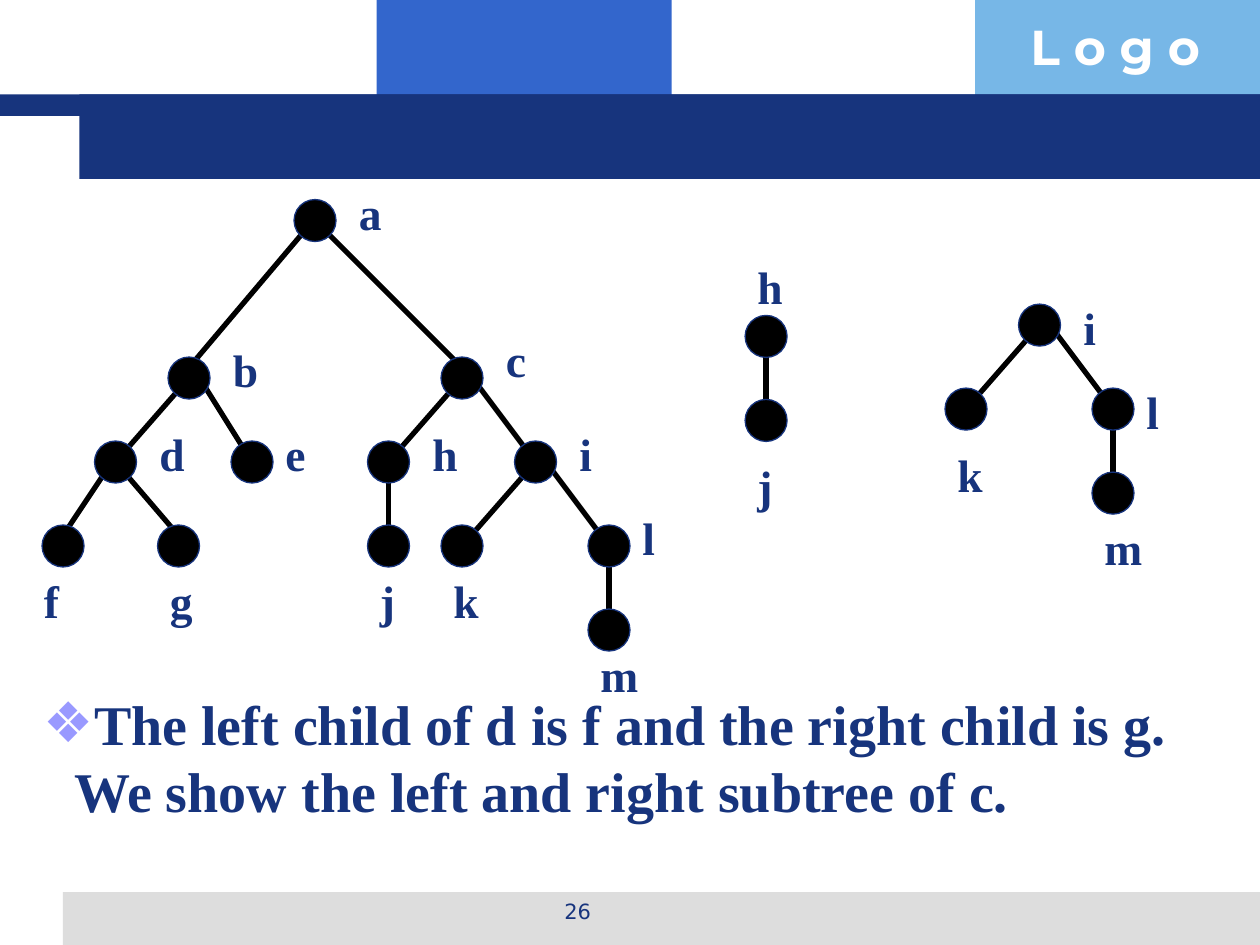
from lxml import etree
from pptx import Presentation
from pptx.dml.color import RGBColor
from pptx.enum import shapes, text
from pptx.oxml import ns
from pptx.util import Inches, Pt

NAVY = "17347D"
BLACK = "000000"
SERIF = "Times New Roman"
WIDTHS = dict(a=0.38, c=0.36, e=0.36, f=0.32, g=0.38, i=0.3, j=0.32, l=0.3, m=0.5)

# name, x, y, label x, label y, parent, start x, start y, end y
MAIN = [
    ("a", 0, 0, 3, -4, None, 0, 0, 0),
    ("b", -12, 15, 3, -4, "a", -1, 1, -1),
    ("c", 14, 15, 3, -5, "a", 1, 1, -1),
    ("d", -19, 23, 3, -4, "b", 0, 0, 0),
    ("e", -6, 23, 2, -4, "b", 1, 0, 0),
    ("h", 7, 23, 3, -4, "c", 0, 0, 0),
    ("i", 21, 23, 3, -4, "c", 1, 0, 0),
    ("f", -24, 31, -3, 2, "d", -1, 1, -1),
    ("g", -13, 31, -2, 2, "d", 0, 0, -1),
    ("j", 7, 31, -2, 2, "h", 0, 1, 0),
    ("k", 14, 31, -2, 2, "i", 0, 0, 0),
    ("l", 28, 31, 2, -4, "i", 1, 0, 0),
    ("m", 28, 39, -2, 1, "l", 0, 1, 0),
]
LEFT = [
    ("h", 0, 0, -2, -8, None, 0, 0, 0),
    ("j", 0, 8, -2, 3, "h", 0, 1, 0),
]
RIGHT = [
    ("i", 0, 0, 3, -3, None, 0, 0, 0),
    ("k", -7, 8, -2, 3, "i", 0, 0, 0),
    ("l", 7, 8, 2, -3, "i", 1, 0, 0),
    ("m", 7, 16, -2, 2, "l", 0, 1, 0),
]


def paint(target, color):
    target.solid()
    target.fore_color.rgb = RGBColor.from_string(color)


def grid(n):
    return Inches(n / 12)


def shape(slide, kind, box, color):
    item = slide.shapes.add_shape(kind, *box)
    item.shadow.inherit = False
    paint(item.fill, color)
    item.line.fill.background()
    return item


def write(slide, box, words, size, face, color, bold=True, wrap=True):
    item = slide.shapes.add_textbox(*box)
    frame = item.text_frame
    frame.text = words
    frame.word_wrap = wrap
    para = frame.paragraphs[0]
    font = para.runs[0].font
    font.size, font.name, font.bold = Pt(size), face, bold
    font.color.rgb = RGBColor.from_string(color)
    return para


def edge(slide, x1, y1, x2, y2):
    line = slide.shapes.add_connector(shapes.MSO_CONNECTOR.STRAIGHT, x1, y1, x2, y2)
    paint(line.line.fill, BLACK)
    line.line.width = Pt(3)
    etree.SubElement(line._element.spPr, ns.qn("a:effectLst"))


def tree(slide, left, top, nodes):
    spots = {name: (left + grid(x), top + grid(y)) for name, x, y, *_ in nodes}
    for name, _, _, _, _, parent, dx, dy, end in nodes:
        if parent:
            (px, py), (x, y) = spots[parent], spots[name]
            edge(slide, px + grid(dx), py + grid(dy), x, y + grid(end))
    for name, _, _, lx, ly, *_ in nodes:
        x, y = spots[name]
        box = x - grid(2), y - grid(2), grid(4), grid(4)
        dot = shape(slide, shapes.MSO_SHAPE.OVAL, box, BLACK)
        paint(dot.line.fill, NAVY)
        dot.line.width = Pt(0.75)
        box = x + grid(lx), y + grid(ly), Inches(WIDTHS.get(name, 0.4)), Inches(0.53)
        write(slide, box, name, 26, SERIF, NAVY, wrap=False)


def header(slide, left, top, width):
    bars = [
        (2.99, 0, 2.34, 0.92, "3366CC"),
        (7.74, 0, 2.26, 0.92, "77B7E7"),
        (0, 0.75, 10, 0.17, NAVY),
        (0.63, 0.75, 9.37, 0.67, NAVY),
    ]
    for x, y, w, h, color in bars:
        box = left + Inches(x), top + Inches(y), Inches(w), Inches(h)
        shape(slide, shapes.MSO_SHAPE.RECTANGLE, box, color)
    box = left + width - Inches(1.92), top + Inches(0.08), Inches(1.92), Inches(0.57)
    write(slide, box, "L o g o", 28, "Montserrat", "FFFFFF")


def footer(slide, left, top, width, height):
    shape(slide, shapes.MSO_SHAPE.RECTANGLE, (left, top, width, height), "DDDDDD")
    box = left + Inches(2.92), top, Inches(2.33), Inches(0.35)
    para = write(slide, box, "26", 12, "DejaVu Sans", NAVY, bold=False)
    para.alignment = text.PP_ALIGN.CENTER


def note(slide, left, top, width, height):
    words = ("The left child of d is f and the right child is g. "
             "We show the left and right subtree of c.")
    para = write(slide, (left, top, width, height), words, 32, SERIF, NAVY)
    props = para._p.get_or_add_pPr()
    props.set("marL", str(Inches(0.24)))
    props.set("indent", str(-Inches(0.24)))
    color = etree.SubElement(props, ns.qn("a:buClr"))
    etree.SubElement(color, ns.qn("a:srgbClr"), val="9999FF")
    etree.SubElement(props, ns.qn("a:buFont"), typeface="DejaVu Sans")
    etree.SubElement(props, ns.qn("a:buChar"), char="❖")


def main():
    deck = Presentation()
    deck.slide_width, deck.slide_height = Inches(10), Inches(7.5)
    slide = deck.slides.add_slide(deck.slide_layouts[6])
    header(slide, 0, 0, deck.slide_width)
    footer(slide, Inches(0.5), Inches(7.08), Inches(9.5), Inches(0.42))
    tree(slide, Inches(2.5), Inches(1.75), MAIN)
    tree(slide, Inches(6.08), Inches(2.67), LEFT)
    tree(slide, Inches(8.25), Inches(2.58), RIGHT)
    note(slide, Inches(0.25), Inches(5.42), Inches(9.58), Inches(1.17))
    deck.save("out.pptx")


if __name__ == "__main__":
    main()
